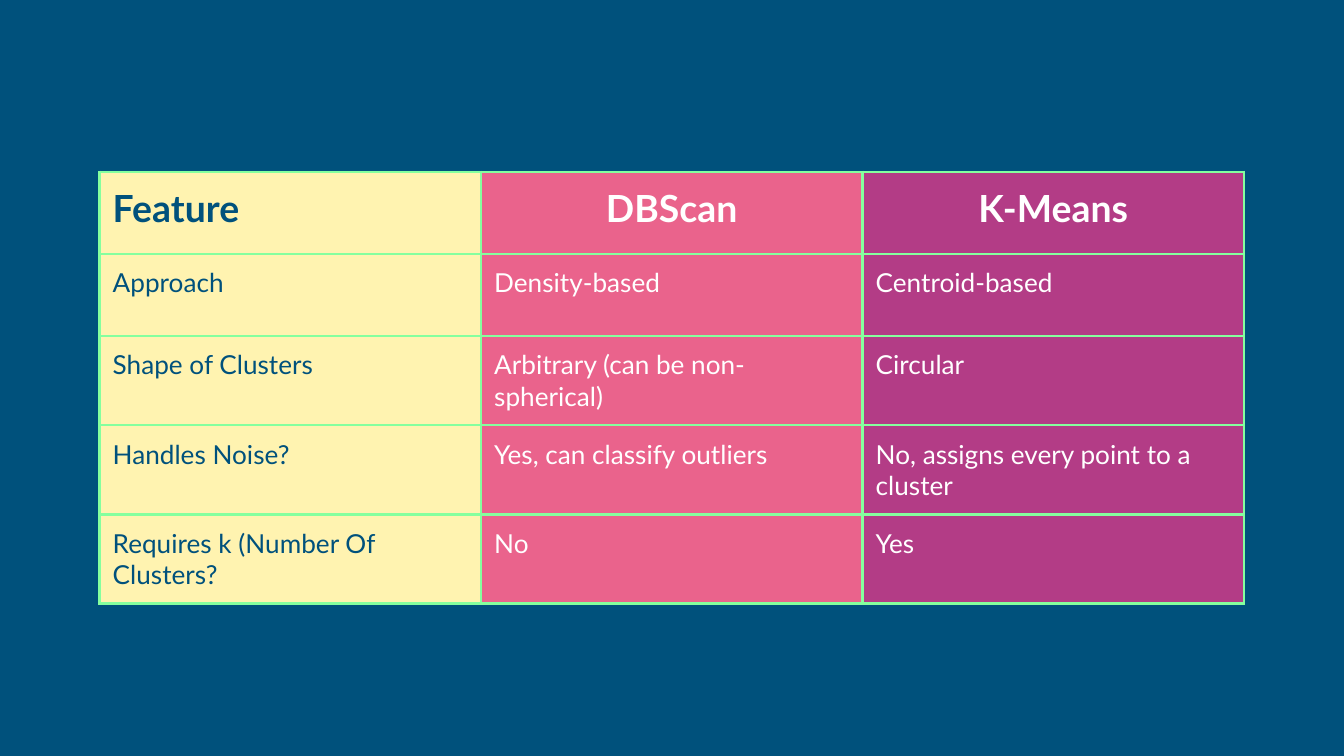
from lxml.etree import SubElement
from pptx import Presentation
from pptx.dml.color import RGBColor
from pptx.enum.text import PP_ALIGN
from pptx.oxml.ns import qn
from pptx.util import Cm, Pt

NAVY = RGBColor(0x00, 0x51, 0x7C)
CREAM = RGBColor(0xFF, 0xF3, 0xB0)
PINK = RGBColor(0xEA, 0x63, 0x8C)
PURPLE = RGBColor(0xB3, 0x3C, 0x86)
WHITE = RGBColor(0xFF, 0xFF, 0xFF)
GREEN = RGBColor(0x85, 0xFF, 0x9E)

FONT = "Lato"
COLUMN_WIDTH = Cm(7.21)
ROW_HEIGHT = Cm(1.55)
PADDING = Cm(0.25)

# Fill, text colour and heading alignment of each column
COLUMN_STYLES = [
    (CREAM, NAVY, PP_ALIGN.LEFT),
    (PINK, WHITE, PP_ALIGN.CENTER),
    (PURPLE, WHITE, PP_ALIGN.CENTER),
]

ROWS = [
    ("Feature", "DBScan", "K-Means"),
    ("Approach", "Density-based", "Centroid-based"),
    ("Shape of Clusters", "Arbitrary (can be non-spherical)", "Circular"),
    ("Handles Noise?", "Yes, can classify outliers",
     "No, assigns every point to a cluster"),
    ("Requires k (Number Of Clusters?", "No", "Yes"),
]


def add_borders(cell):
    properties = cell._tc.get_or_add_tcPr()
    for side in ("a:lnL", "a:lnR", "a:lnT", "a:lnB"):
        line = SubElement(properties, qn(side), w=str(Pt(1.5)))
        fill = SubElement(line, qn("a:solidFill"))
        SubElement(fill, qn("a:srgbClr"), val=str(GREEN))


def fill_cell(cell, text, style, is_heading):
    fill, colour, heading_alignment = style

    # Borders come before the fill in the cell properties
    add_borders(cell)
    cell.fill.solid()
    cell.fill.fore_color.rgb = fill
    cell.margin_left = cell.margin_right = PADDING
    cell.margin_top = cell.margin_bottom = PADDING

    cell.text = text
    para = cell.text_frame.paragraphs[0]
    para.alignment = heading_alignment if is_heading else PP_ALIGN.LEFT
    para.font.name = FONT
    para.font.size = Pt(20 if is_heading else 14)
    para.font.bold = is_heading
    para.font.color.rgb = colour


def add_comparison_table(page):
    row_count, column_count = len(ROWS), len(COLUMN_STYLES)
    table = page.shapes.add_table(
        row_count, column_count, Cm(1.88), Cm(3.25),
        COLUMN_WIDTH * column_count, ROW_HEIGHT * row_count).table
    table.horz_banding = False

    for column in table.columns:
        column.width = COLUMN_WIDTH
    for row, texts in zip(table.rows, ROWS):
        row.height = ROW_HEIGHT
        for cell, text, style in zip(row.cells, texts, COLUMN_STYLES):
            fill_cell(cell, text, style, is_heading=texts is ROWS[0])


def main():
    deck = Presentation()
    deck.slide_width, deck.slide_height = Cm(25.4), Cm(14.29)
    page = deck.slides.add_slide(deck.slide_layouts[6])

    # Background
    page.background.fill.solid()
    page.background.fill.fore_color.rgb = NAVY

    # Comparison of the two clustering methods
    add_comparison_table(page)

    deck.save("out.pptx")


if __name__ == "__main__":
    main()
